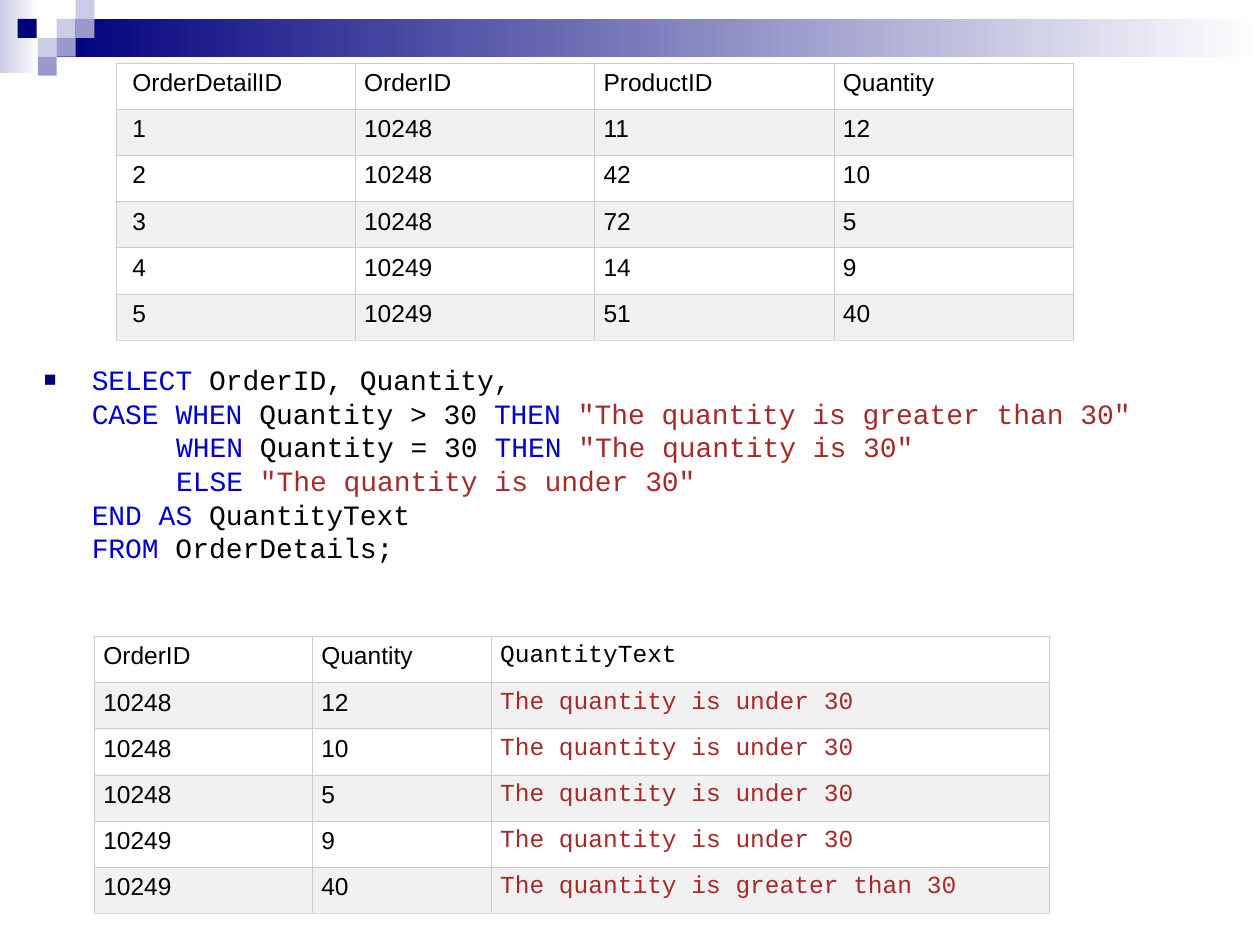
from dataclasses import dataclass

import lxml.etree
import pptx
import pptx.dml.color
import pptx.enum.shapes
import pptx.oxml
import pptx.oxml.ns
import pptx.util
from pptx.util import Inches

COLORS = {
    "navy": "00007D", "lavender": "CCCCE6", "violet": "9999CC",
    "white": "FFFFFF", "band": "F1F1F1", "border": "CCCCCC",
    "bottom border": "DDDDDD", "black": "000000",
    "keyword": "0000CD", "string": "A52A2A",
}
BODY_FONT = "Arial"
CODE_FONT = "Courier New"
SQUARE = 0.15
CODE_MARGIN = 0.38
CODE_INDENT = 0.67  # five characters of 16 pt code


@dataclass
class Square:
    left: float
    top: float
    color: str


@dataclass
class DataTable:
    left: float
    top: float
    widths: list[float]
    rows: list[list[str]]
    first_inset: float = 0.07
    code_column: int | None = None


@dataclass
class CodeLine:
    pieces: list[tuple[str, str]]
    indented: bool = False


SQUARES = [
    Square(0.45, 0.15, "lavender"), Square(0.6, 0, "lavender"),
    Square(0.6, 0.15, "violet"), Square(0.3, 0.3, "lavender"),
    Square(0.14, 0.15, "navy"), Square(0.45, 0.3, "violet"),
    Square(0.3, 0.45, "violet"),
]

ORDERS = [
    ["1", "10248", "11", "12"],
    ["2", "10248", "42", "10"],
    ["3", "10248", "72", "5"],
    ["4", "10249", "14", "9"],
    ["5", "10249", "51", "40"],
]


def quantity_text(quantity: str) -> str:
    """Answer of the CASE expression; no order has exactly 30."""
    comparison = "greater than" if int(quantity) > 30 else "under"
    return f"The quantity is {comparison} 30"


ORDER_DETAILS = DataTable(
    0.92, 0.5, [1.9] * 4,
    [["OrderDetailID", "OrderID", "ProductID", "Quantity"], *ORDERS],
    first_inset=0.13)
QUERY_RESULT = DataTable(
    0.75, 5.05, [1.73, 1.42, 4.43],
    [["OrderID", "Quantity", "QuantityText"],
     *([order, quantity, quantity_text(quantity)]
       for _, order, _, quantity in ORDERS)],
    code_column=2)

QUERY = [
    CodeLine([("SELECT", "keyword"), (" OrderID, Quantity,", "black")]),
    CodeLine([("CASE WHEN", "keyword"), (" Quantity > 30 ", "black"),
              ("THEN ", "keyword"),
              ('"The quantity is greater than 30"', "string")]),
    CodeLine([("WHEN", "keyword"), (" Quantity = 30 ", "black"),
              ("THEN ", "keyword"), ('"The quantity is 30"', "string")], True),
    CodeLine([("ELSE ", "keyword"),
              ('"The quantity is under 30"', "string")], True),
    CodeLine([("END AS", "keyword"), (" QuantityText", "black")]),
    CodeLine([("FROM", "keyword"), (" OrderDetails;", "black")]),
]


def rgb(name: str) -> pptx.dml.color.RGBColor:
    return pptx.dml.color.RGBColor.from_string(COLORS[name])


def add_rectangle(slide, left: float, top: float, width: float, height: float,
                  color: str, fade: bool = False) -> None:
    shape = slide.shapes.add_shape(
        pptx.enum.shapes.MSO_SHAPE.RECTANGLE,
        Inches(left), Inches(top), Inches(width), Inches(height))
    shape.shadow.inherit = False
    shape.line.fill.background()
    if fade:
        shape.fill.gradient()
        shape.fill.gradient_angle = 0
        for stop, name in zip(shape.fill.gradient_stops, (color, "white")):
            stop.color.rgb = rgb(name)
    else:
        shape.fill.solid()
        shape.fill.fore_color.rgb = rgb(color)


def set_borders(cell, bottom: str) -> None:
    properties = cell._tc.get_or_add_tcPr()
    sides = {"lnL": "border", "lnR": "border", "lnT": "border", "lnB": bottom}
    for position, (side, color) in enumerate(sides.items()):
        properties.insert(position, pptx.oxml.parse_xml(
            f'<a:{side} {pptx.oxml.ns.nsdecls("a")} w="{pptx.util.Pt(0.34)}">'
            f'<a:solidFill><a:srgbClr val="{COLORS[color]}"/></a:solidFill>'
            f'</a:{side}>'))


def add_data_table(slide, data: DataTable) -> None:
    table = slide.shapes.add_table(
        len(data.rows), len(data.widths), Inches(data.left), Inches(data.top),
        Inches(sum(data.widths)), Inches(2.2)).table
    table.first_row = table.horz_banding = False
    for column, width in zip(table.columns, data.widths):
        column.width = Inches(width)
    for row_index, row in enumerate(data.rows):
        is_last = row_index == len(data.rows) - 1
        for column_index, text in enumerate(row):
            is_code = column_index == data.code_column
            cell = table.cell(row_index, column_index)
            cell.text = text
            cell.margin_left = Inches(0.07 if column_index else data.first_inset)
            cell.margin_right = Inches(0.07)
            cell.fill.solid()
            cell.fill.fore_color.rgb = rgb("band" if row_index % 2 else "white")
            set_borders(cell, "bottom border" if is_last else "border")
            font = cell.text_frame.paragraphs[0].font
            font.size = pptx.util.Pt(14)
            font.name = CODE_FONT if is_code else BODY_FONT
            font.color.rgb = rgb("string" if is_code and row_index else "black")


def add_bullet(paragraph) -> None:
    properties = paragraph._p.get_or_add_pPr()
    properties.set("indent", str(-Inches(CODE_MARGIN)))
    color = lxml.etree.SubElement(properties, pptx.oxml.ns.qn("a:buClr"))
    lxml.etree.SubElement(color, pptx.oxml.ns.qn("a:srgbClr"), val=COLORS["navy"])
    for tag, attributes in (("a:buSzPct", {"val": "75000"}),
                            ("a:buFont", {"typeface": BODY_FONT}),
                            ("a:buChar", {"char": "■"})):
        lxml.etree.SubElement(properties, pptx.oxml.ns.qn(tag), attributes)


def add_query(slide, lines: list[CodeLine]) -> None:
    text_frame = slide.shapes.add_textbox(
        Inches(0.25), Inches(2.83), Inches(9.25), Inches(1.83)).text_frame
    text_frame.word_wrap = True
    for index, line in enumerate(lines):
        paragraph = text_frame.add_paragraph() if index else text_frame.paragraphs[0]
        margin = CODE_MARGIN + (CODE_INDENT if line.indented else 0)
        paragraph._p.get_or_add_pPr().set("marL", str(Inches(margin)))
        if index == 0:
            paragraph.space_before = pptx.util.Pt(4)
            add_bullet(paragraph)
        paragraph.font.size = pptx.util.Pt(16)
        paragraph.font.name = CODE_FONT
        for text, color in line.pieces:
            run = paragraph.add_run()
            run.text = text
            run.font.color.rgb = rgb(color)


def main() -> None:
    presentation = pptx.Presentation()
    presentation.slide_width = Inches(10)
    presentation.slide_height = Inches(7.5)
    slide = presentation.slides.add_slide(presentation.slide_layouts[6])

    # Header band and squares
    add_rectangle(slide, 0, 0, 0.31, 0.58, "lavender", fade=True)
    add_rectangle(slide, 0.45, 0.15, 9.55, 0.3, "navy", fade=True)
    for square in SQUARES:
        add_rectangle(slide, square.left, square.top, SQUARE, SQUARE, square.color)

    # Source table, query and its result
    add_data_table(slide, ORDER_DETAILS)
    add_query(slide, QUERY)
    add_data_table(slide, QUERY_RESULT)

    presentation.save("out.pptx")


if __name__ == "__main__":
    main()
